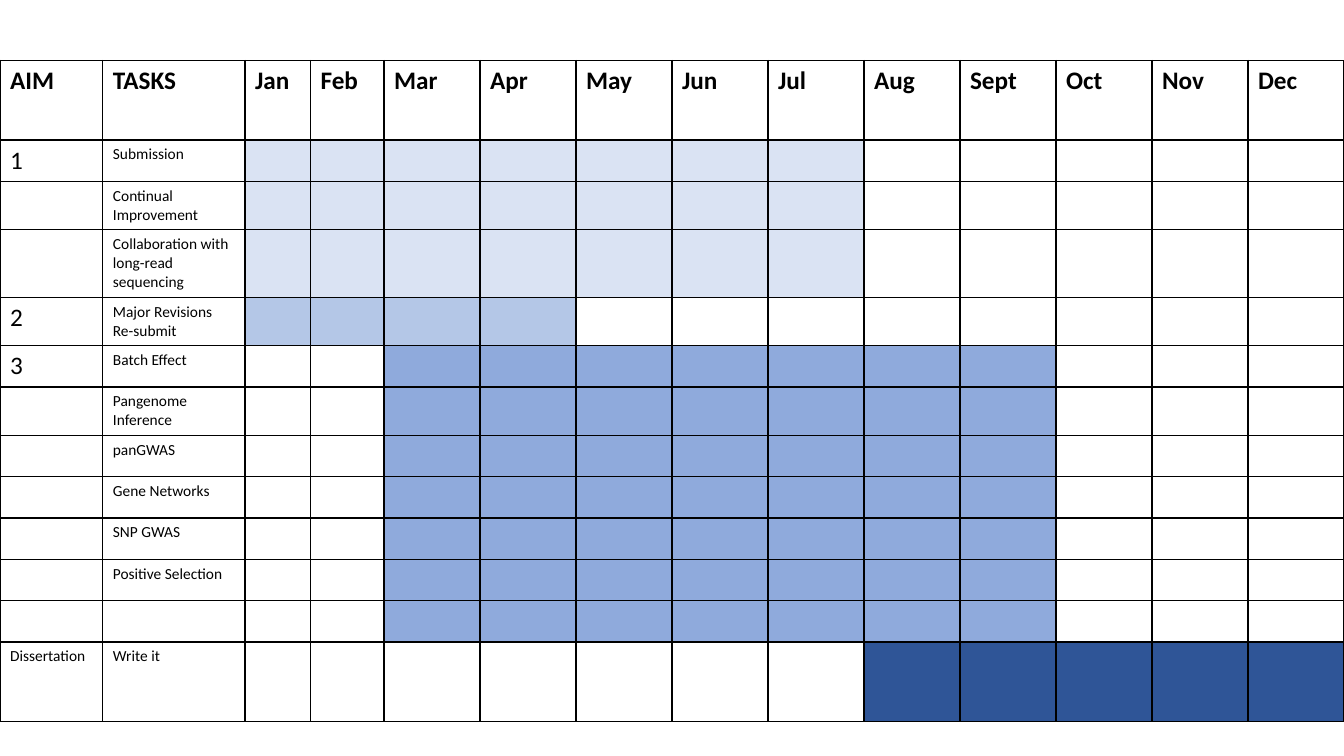
"""Build a one-slide yearly timeline of research aims and tasks."""
from lxml import etree
from pptx import Presentation
from pptx import util as u
from pptx.dml.color import RGBColor
from pptx.oxml.ns import qn

MONTHS = "Jan Feb Mar Apr May Jun Jul Aug Sept Oct Nov Dec".split()
LEAD_COLS = [1.02, 1.41, 0.65, 0.73]
HEADER_H, ROW_H, LINE_H = 0.79, 0.41, 0.19
PALE, LIGHT, MID, DARK = "DAE3F3", "B4C7E7", "8FAADC", "2F5597"

# aim, task, text lines, first month, last month, bar colour
TASKS = [
    ("1", "Submission", 1, "Jan", "Jul", PALE),
    ("", "Continual Improvement", 2, "Jan", "Jul", PALE),
    ("", "Collaboration with long-read sequencing", 3, "Jan", "Jul", PALE),
    ("2", "Major Revisions\nRe-submit", 2, "Jan", "Apr", LIGHT),
    ("3", "Batch Effect", 1, "Mar", "Sept", MID),
    ("", "Pangenome Inference", 2, "Mar", "Sept", MID),
    ("", "panGWAS", 1, "Mar", "Sept", MID),
    ("", "Gene Networks", 1, "Mar", "Sept", MID),
    ("", "SNP GWAS", 1, "Mar", "Sept", MID),
    ("", "Positive Selection", 1, "Mar", "Sept", MID),
    ("", "", 1, "Mar", "Sept", MID),
    ("Dissertation", "Write it", 1, "Aug", "Dec", DARK),
]


def rgb(value):
    """Return the colour for a hex string."""
    return RGBColor.from_string(value)


def add_text(tf, text, size=11, bold=False, color="000000", font="Calibri"):
    """Write text into a frame, one paragraph per line."""
    for i, line in enumerate(text.split("\n")):
        p = tf.add_paragraph() if i else tf.paragraphs[0]
        r = p.add_run()
        r.text = line
        r.font.size, r.font.bold, r.font.name = u.Pt(size), bold, font
        r.font.color.rgb = rgb(color)


def add_borders(cell, color="000000", width=1):
    """Draw a solid line on all four sides of a cell."""
    tc_pr = cell._tc.get_or_add_tcPr()
    for i, side in enumerate(("a:lnL", "a:lnR", "a:lnT", "a:lnB")):
        ln = etree.Element(qn(side), w=str(u.Pt(width)))
        fill = etree.SubElement(ln, qn("a:solidFill"))
        etree.SubElement(fill, qn("a:srgbClr"), val=color)
        tc_pr.insert(i, ln)


def fill_cell(cell, text="", fill="FFFFFF", **fmt):
    """Give a cell its fill, borders and text."""
    cell.fill.solid()
    cell.fill.fore_color.rgb = rgb(fill)
    add_borders(cell)
    if text:
        add_text(cell.text_frame, text, **fmt)


def add_grid(s, top, widths, heights):
    """Add a plain table with the given column widths and row heights."""
    frame = s.shapes.add_table(len(heights), len(widths), 0, u.Inches(top),
                               u.Inches(sum(widths)), u.Inches(sum(heights)))
    table = frame.table
    table.first_row = table.horz_banding = False
    for col, width in zip(table.columns, widths):
        col.width = u.Inches(width)
    for row, height in zip(table.rows, heights):
        row.height = u.Inches(height)
    return table


def add_task_row(table, row, aim, task, first, last, color):
    """Fill one row with its aim, its task and its bar of months."""
    fill_cell(table.cell(row, 0), aim, size=18 if aim.isdigit() else 11)
    fill_cell(table.cell(row, 1), task)
    bar = range(MONTHS.index(first), MONTHS.index(last) + 1)
    for m in range(len(MONTHS)):
        fill_cell(table.cell(row, m + 2), fill=color if m in bar else "FFFFFF")


def main():
    """Build the slide and save it."""
    prs = Presentation()
    prs.slide_width, prs.slide_height = u.Inches(13.33), u.Inches(7.5)
    s = prs.slides.add_slide(prs.slide_layouts[6])

    equal_cols = len(MONTHS) + 2 - len(LEAD_COLS)
    month_w = (prs.slide_width.inches - sum(LEAD_COLS)) / equal_cols
    heights = [max(ROW_H, 0.1 + LINE_H * task[2]) for task in TASKS]
    heights[-1] = HEADER_H
    table = add_grid(s, prs.slide_height.inches * 0.08,
                     LEAD_COLS + [month_w] * equal_cols, [HEADER_H] + heights)

    for col, title in enumerate(["AIM", "TASKS"] + MONTHS):
        fill_cell(table.cell(0, col), title, size=18, bold=True)
    for row, (aim, task, _, first, last, color) in enumerate(TASKS, 1):
        add_task_row(table, row, aim, task, first, last, color)
    prs.save("out.pptx")


if __name__ == "__main__":
    main()
